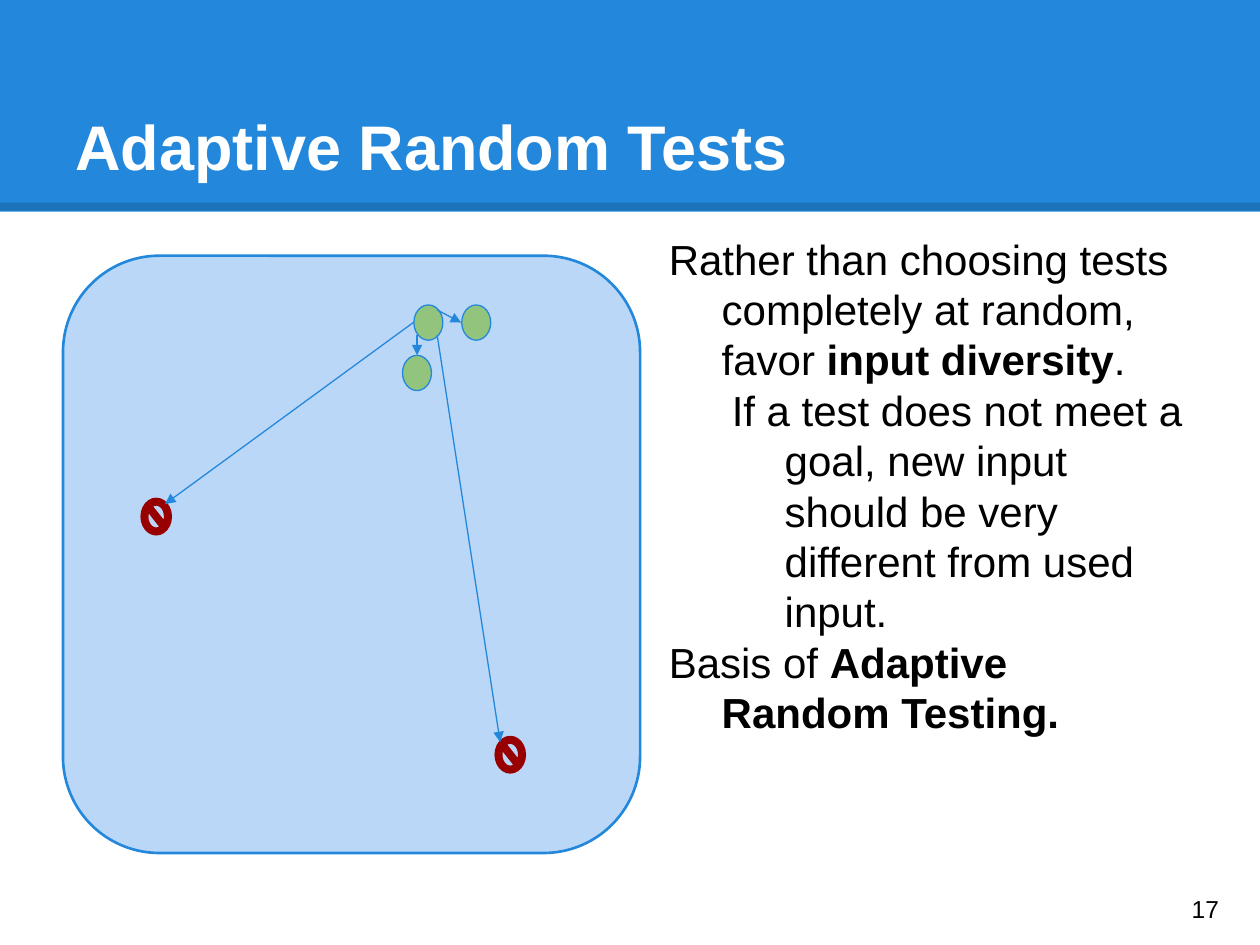
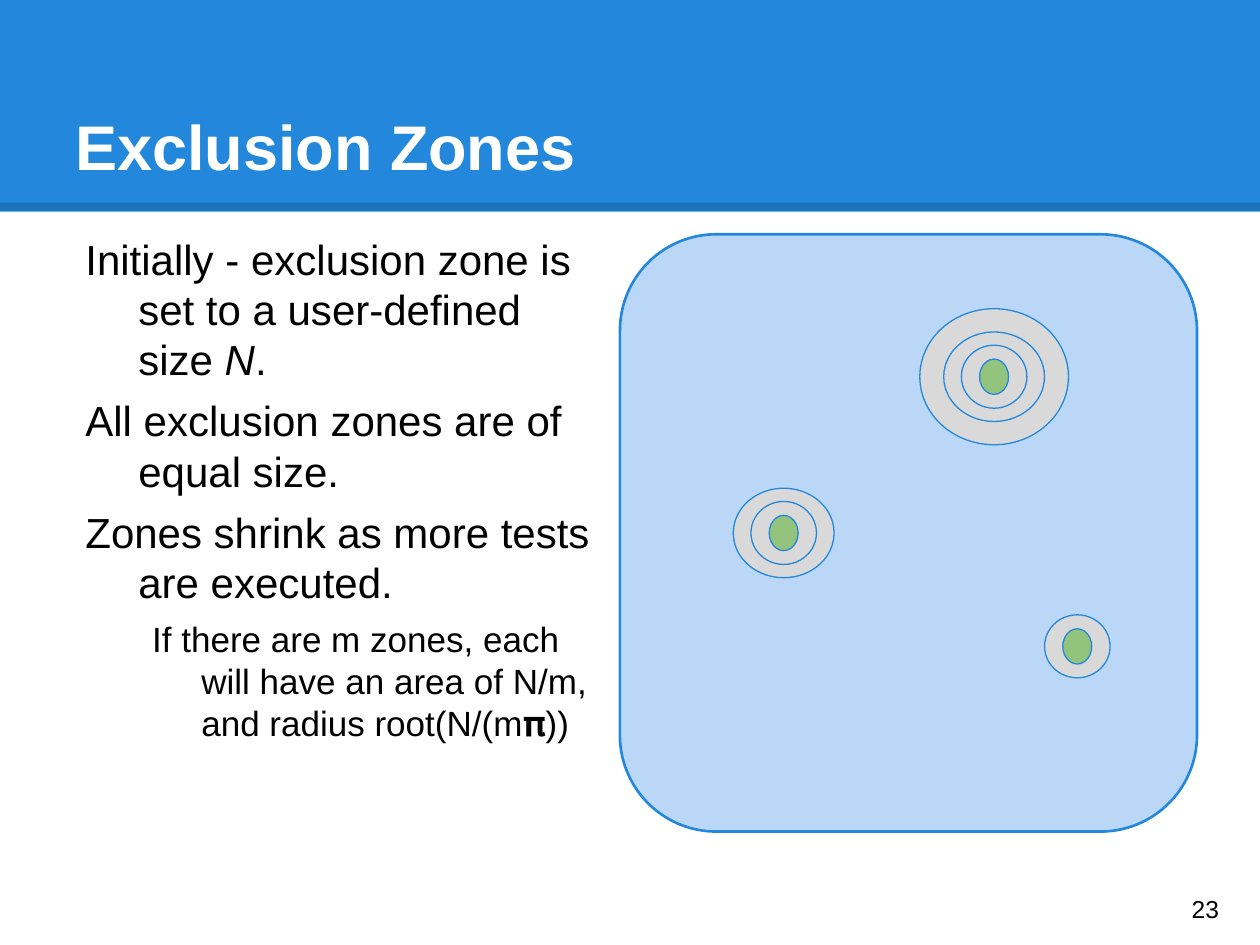
import lxml.etree
import pptx
import pptx.util
import pptx.dml.color
import pptx.enum.shapes
import pptx.enum.text
import pptx.oxml.ns

Inches = pptx.util.Inches
Pt = pptx.util.Pt
RGBColor = pptx.dml.color.RGBColor
Shape = pptx.enum.shapes.MSO_SHAPE
Anchor = pptx.enum.text.MSO_ANCHOR
qn = pptx.oxml.ns.qn

# Shared look
FONT = "Arial"
BLUE = RGBColor(0x23, 0x88, 0xDB)
PALE = RGBColor(0xBB, 0xD7, 0xF8)
GREEN = RGBColor(0x93, 0xC4, 0x7D)
GRAY = RGBColor(0xD9, 0xD9, 0xD9)
RED = RGBColor(0x98, 0x00, 0x00)
BLACK = RGBColor(0, 0, 0)
WHITE = RGBColor(0xFF, 0xFF, 0xFF)

DOT = (0.23, 0.28)
RINGS = [(1.18, 1.08), (0.8, 0.71), (0.52, 0.5)]  # outer to inner


def add_sub(parent, tag, **attrs):
    """Append a drawing element with the given attributes."""
    return lxml.etree.SubElement(parent, qn(tag), attrs)


# Text
def add_box(slide, left, top, width, height, anchor=Anchor.TOP):
    frame = slide.shapes.add_textbox(
        Inches(left), Inches(top), Inches(width), Inches(height)).text_frame
    frame.word_wrap = True
    frame.vertical_anchor = anchor
    frame.margin_left = frame.margin_right = Inches(0.1)
    frame.margin_top = frame.margin_bottom = Inches(0.1)
    return frame


def write(frame, text, size=24, color=BLACK, bold=False, accent="bold",
          level=0, indent=0, hang=0, before=0, pitch=None):
    """Add a paragraph; parts between asterisks get the accent style."""
    first = not frame.paragraphs[0].runs
    para = frame.paragraphs[0] if first else frame.add_paragraph()
    para.level = level
    props = para._p.get_or_add_pPr()
    props.set("marL", str(Inches(indent)))
    props.set("indent", str(-Inches(hang)))
    para.space_before = Pt(0 if first else before)
    if pitch:
        para.line_spacing = Pt(size * pitch)
    for index, part in enumerate(text.split("*")):
        run = para.add_run()
        run.text = part
        font = run.font
        font.name, font.size, font.bold = FONT, Pt(size), bold
        font.color.rgb = color
        if index % 2:
            setattr(font, accent, True)


# Shapes and lines
def add_form(slide, kind, left, top, width, height, fill,
             line=BLUE, weight=0.75, adjust=None):
    form = slide.shapes.add_shape(
        kind, Inches(left), Inches(top), Inches(width), Inches(height))
    form.shadow.inherit = False
    form.fill.solid()
    form.fill.fore_color.rgb = fill
    if line is None:
        form.line.fill.background()
    else:
        form.line.color.rgb = line
        form.line.width = Pt(weight)
    if adjust is not None:
        form.adjustments[0] = adjust


def add_mark(slide, center, size=DOT, kind=Shape.OVAL, fill=GREEN, **style):
    """Draw a shape around its centre."""
    (x, y), (width, height) = center, size
    add_form(slide, kind, x - width / 2, y - height / 2, width, height,
             fill, **style)


def add_line(slide, start, end, color=BLUE, weight=0.75, alpha=None,
             arrow=False):
    link = slide.shapes.add_connector(
        pptx.enum.shapes.MSO_CONNECTOR.STRAIGHT,
        *(Inches(value) for value in (*start, *end)))
    link.line.color.rgb = color
    link.line.width = Pt(weight)
    props = link._element.spPr
    outline = props.find(qn("a:ln"))
    if alpha is not None:
        tone = outline.find(".//" + qn("a:srgbClr"))
        add_sub(tone, "a:alpha", val=str(alpha * 1000))
    if arrow:
        add_sub(outline, "a:tailEnd", type="triangle")
    add_sub(props, "a:effectLst")


def add_field(slide, left, top):
    """Draw the rounded input space."""
    add_form(slide, Shape.ROUNDED_RECTANGLE, left, top, 4.58, 4.74, PALE,
             weight=1.5, adjust=0.167)


# Slide frame: band, title and page number
def add_slide(deck, title, page):
    slide = deck.slides.add_slide(deck.slide_layouts[6])
    add_form(slide, Shape.RECTANGLE, 0, 0, 10, 1.68, BLUE, line=None)
    add_line(slide, (0, 1.64), (10, 1.64), BLACK, 4.5, alpha=15)
    write(add_box(slide, 0.5, 0.3, 9, 1.25, Anchor.BOTTOM), title,
          size=36, color=WHITE, bold=True)
    write(add_box(slide, 9.36, 6.93, 0.6, 0.57, Anchor.MIDDLE), str(page),
          size=14)
    return slide


def add_body(slide, left, items, **style):
    frame = add_box(slide, left, 1.75, 4.37, 5.43)
    for text, extra in items:
        look = dict(indent=0.5, hang=0.42, pitch=1.2) | style | extra
        write(frame, text, **look)


def build_tests(deck):
    slide = add_slide(deck, "Adaptive Random Tests", 17)
    add_field(slide, 0.5, 2.03)
    for center in [(1.24, 4.1), (4.05, 5.99)]:
        add_mark(slide, center, kind=Shape.NO_SYMBOL, fill=RED, line=RED,
                 weight=1.5, adjust=0.188)
    for center in [(3.4, 2.56), (3.31, 2.96), (3.78, 2.56)]:
        add_mark(slide, center)
    for start, end in [((3.28, 2.56), (1.31, 4)),
                       ((3.31, 2.66), (3.31, 2.82)),
                       ((3.47, 2.66), (3.97, 5.89)),
                       ((3.47, 2.46), (3.66, 2.56))]:
        add_line(slide, start, end, arrow=True)
    add_body(slide, 5.13, [
        ("Rather than choosing tests completely at random, "
         "favor *input diversity*.", {}),
        ("If a test does not meet a goal, new input should be very "
         "different from used input.", dict(level=1, indent=1)),
        ("Basis of *Adaptive Random Testing.*", {}),
    ])


def build_zones(deck):
    slide = add_slide(deck, "Exclusion Zones", 23)
    add_body(slide, 0.5, [
        ("Initially - exclusion zone is set to a user-defined size *N*.", {}),
        ("All exclusion zones are of equal size.", {}),
        ("Zones shrink as more tests are executed.", {}),
        ("If there are m zones, each will have an area of N/m, "
         "and radius root(N/(m𝛑))",
         dict(size=20, level=1, indent=1, hang=0.39)),
    ], accent="italic", before=6)
    add_field(slide, 4.92, 1.86)
    # Each later test has one ring fewer
    for skip, center in enumerate([(7.89, 2.99), (6.22, 4.23), (8.55, 5.13)]):
        for size in RINGS[skip:]:
            add_mark(slide, center, size, fill=GRAY)
        add_mark(slide, center)


def main():
    deck = pptx.Presentation()
    deck.slide_width, deck.slide_height = Inches(10), Inches(7.5)
    build_tests(deck)
    build_zones(deck)
    deck.save("out.pptx")


if __name__ == "__main__":
    main()
